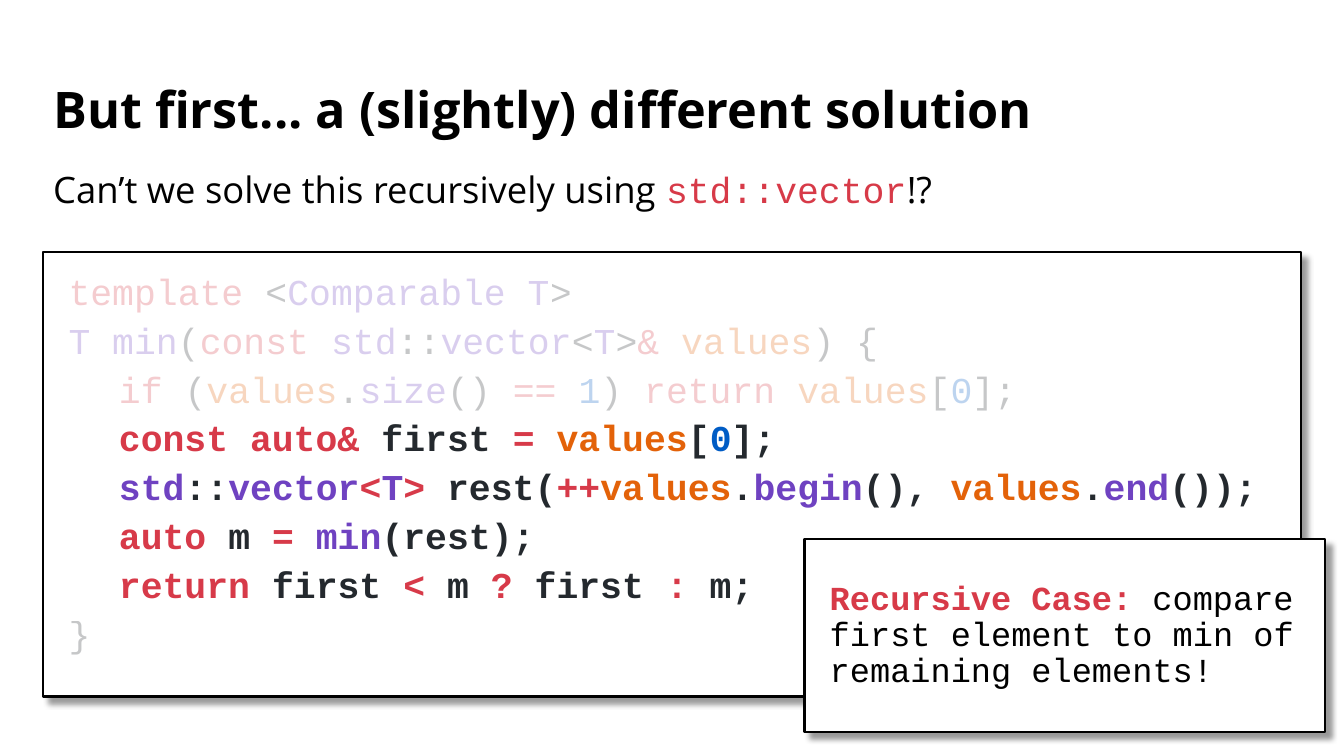
from typing import NamedTuple

from lxml.etree import SubElement
from pptx import Presentation
from pptx.dml.color import RGBColor
from pptx.enum.shapes import MSO_SHAPE
from pptx.enum.text import MSO_ANCHOR, PP_ALIGN
from pptx.oxml.ns import qn
from pptx.util import Inches, Pt

BLACK = RGBColor(0x00, 0x00, 0x00)
WHITE = RGBColor(0xFF, 0xFF, 0xFF)
INK = RGBColor(0x24, 0x29, 0x2E)
RED = RGBColor(0xD7, 0x3A, 0x49)
ACCENT = RGBColor(0xD7, 0x3A, 0x48)
PURPLE = RGBColor(0x6F, 0x42, 0xC1)
ORANGE = RGBColor(0xE3, 0x62, 0x09)
BLUE = RGBColor(0x00, 0x5C, 0xC5)
SANS, MONO = "Open Sans", "Courier New"


class Run(NamedTuple):
    text: str
    color: RGBColor = INK
    font: str = MONO
    bold: bool = False
    faded: bool = False


class Box(NamedTuple):
    left: float
    top: float
    width: float
    height: float
    size: float
    spacing: float
    lines: list[list[Run]]
    anchor: MSO_ANCHOR = MSO_ANCHOR.TOP
    framed: bool = False


def faded(*tokens: tuple[str, RGBColor]) -> list[Run]:
    return [Run(text, color, faded=True) for text, color in tokens]


def strong(*tokens: tuple[str, RGBColor]) -> list[Run]:
    return [Run(text, color, bold=True) for text, color in tokens]


CODE = [
    faded(("template", RED), (" <", INK), ("Comparable T", PURPLE), (">", INK)),
    faded(("T min", PURPLE), ("(", INK), ("const ", RED), ("std", PURPLE),
          ("::", INK), ("vector", PURPLE), ("<", INK), ("T", PURPLE),
          (">", INK), ("& ", RED), ("values", ORANGE), (") {", INK)),
    faded(("\tif", RED), (" (", INK), ("values", ORANGE), (".", INK),
          ("size", PURPLE), ("() ", INK), ("== ", RED), ("1", BLUE),
          (") ", INK), ("return ", RED), ("values", ORANGE), ("[", INK),
          ("0", BLUE), ("];", INK)),
    strong(("\tconst auto&", RED), (" first ", INK), ("= ", RED),
           ("values", ORANGE), ("[", INK), ("0", BLUE), ("];", INK)),
    strong(("\tstd", PURPLE), ("::", INK), ("vector", PURPLE), ("<", RED),
           ("T", PURPLE), (">", RED), (" rest(", INK), ("++", RED),
           ("values", ORANGE), (".", INK), ("begin", PURPLE), ("(), ", INK),
           ("values", ORANGE), (".", INK), ("end", PURPLE), ("());", INK)),
    strong(("\tauto", RED), (" m ", INK), ("= ", RED), ("min", PURPLE),
           ("(rest);", INK)),
    strong(("\treturn", RED), (" first ", INK), ("<", RED), (" m ", INK),
           ("?", RED), (" first ", INK), (":", RED), (" m;", INK)),
    faded(("}", INK)),
]

BOXES = [
    Box(0.43, 0.69, 12.47, 0.84, 36, 0.9,
        [[Run("But first... a (slightly) different solution", BLACK, SANS, True)]],
        MSO_ANCHOR.MIDDLE),
    Box(0.43, 2.5, 12.47, 4.41, 26, 0.8, CODE, framed=True),
    Box(0.43, 1.69, 12.47, 0.47, 26, 0.8,
        [[Run("Can’t we solve this recursively using ", BLACK, SANS),
          Run("std::vector", ACCENT), Run("!?", BLACK, SANS)]]),
    Box(7.98, 5.35, 5.16, 1.91, 24, 0.9,
        [[Run("Recursive Case: ", ACCENT, bold=True),
          Run("compare first element to min of remaining elements!", BLACK)]],
        MSO_ANCHOR.MIDDLE, True),
]


def add_frame(s, box: Box):
    """Add a white outlined rectangle with a soft shadow to the lower right."""
    sp = s.shapes.add_shape(MSO_SHAPE.RECTANGLE, Inches(box.left), Inches(box.top),
                            Inches(box.width), Inches(box.height))
    sp.shadow.inherit = False
    sp.fill.solid()
    sp.fill.fore_color.rgb = WHITE
    sp.line.color.rgb = BLACK
    sp.line.width = Pt(1.5)
    effects = sp._element.spPr.find(qn("a:effectLst"))
    shadow = SubElement(effects, qn("a:outerShdw"), blurRad=str(Pt(4)),
                        dist=str(Pt(6)), dir="2700000", algn="tl", rotWithShape="0")
    color = SubElement(shadow, qn("a:srgbClr"), val=str(BLACK))
    SubElement(color, qn("a:alpha"), val="40000")
    return sp


def add_run(p, run: Run, size: float) -> None:
    r = p.add_run()
    r.text = run.text
    r.font.name = run.font
    r.font.size = Pt(size)
    r.font.bold = run.bold
    r.font.color.rgb = run.color
    if run.faded:
        color = r._r.rPr.find(".//" + qn("a:srgbClr"))
        SubElement(color, qn("a:alpha"), val="25000")


def add_box(s, box: Box) -> None:
    if box.framed:
        sp = add_frame(s, box)
    else:
        sp = s.shapes.add_textbox(Inches(box.left), Inches(box.top),
                                  Inches(box.width), Inches(box.height))
    tf = sp.text_frame
    tf.word_wrap = True
    tf.vertical_anchor = box.anchor
    if box.framed:
        tf.margin_left = tf.margin_right = Inches(0.25)
        tf.margin_top = tf.margin_bottom = Inches(0.25)
    for i, line in enumerate(box.lines):
        p = tf.add_paragraph() if i else tf.paragraphs[0]
        if line[0].text.startswith("\t"):
            tabs = SubElement(p._p.get_or_add_pPr(), qn("a:tabLst"))
            SubElement(tabs, qn("a:tab"), pos=str(Inches(0.5)), algn="l")
        p.alignment = PP_ALIGN.LEFT
        p.line_spacing = box.spacing
        if i:
            p.space_before = Pt(10)
        for run in line:
            add_run(p, run, box.size)


def main() -> None:
    prs = Presentation()
    prs.slide_width, prs.slide_height = Inches(13.33), Inches(7.5)
    s = prs.slides.add_slide(prs.slide_layouts[6])
    for box in BOXES:
        add_box(s, box)
    prs.save("out.pptx")


if __name__ == "__main__":
    main()
